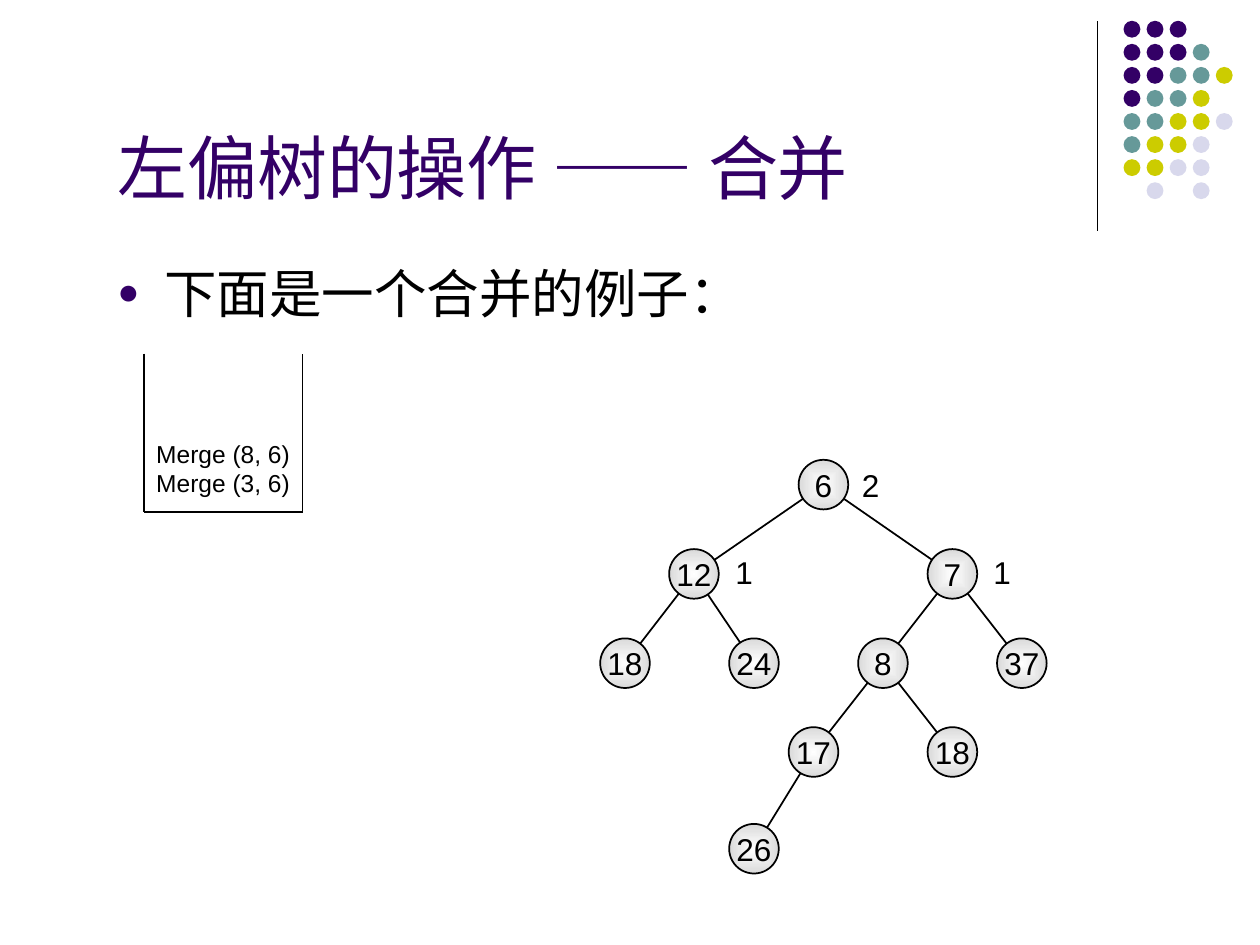
import pptx
import pptx.util
import pptx.dml.color
import pptx.enum.shapes
import pptx.enum.text
import pptx.oxml
import pptx.oxml.ns
import lxml.etree

Cm = pptx.util.Cm
Pt = pptx.util.Pt
RGBColor = pptx.dml.color.RGBColor
ANCHOR = pptx.enum.text.MSO_ANCHOR
ALIGN = pptx.enum.text.PP_ALIGN
OVAL = pptx.enum.shapes.MSO_SHAPE.OVAL
STRAIGHT = pptx.enum.shapes.MSO_CONNECTOR.STRAIGHT

PURPLE = RGBColor(0x33, 0x00, 0x66)
TEAL = RGBColor(0x66, 0x99, 0x99)
OLIVE = RGBColor(0xCC, 0xCC, 0x00)
LAVENDER = RGBColor(0xD8, 0xD8, 0xEC)
BLACK = RGBColor(0x00, 0x00, 0x00)
WHITE = RGBColor(0xFF, 0xFF, 0xFF)
GREY = RGBColor(0xDA, 0xDA, 0xDA)
LATIN = "Arial"
CHINESE = "Noto Sans CJK SC"
NAMESPACE = pptx.oxml.ns.nsdecls("a")

deck = pptx.Presentation()
deck.slide_width = Cm(25.4)
deck.slide_height = Cm(19.05)
page = deck.slides.add_slide(deck.slide_layouts[1])


def add_line(start, end, width):
    line = page.shapes.add_connector(
        STRAIGHT, Cm(start[0]), Cm(start[1]), Cm(end[0]), Cm(end[1]))
    line.line.color.rgb = BLACK
    line.line.width = Pt(width)
    properties = line._element.spPr
    lxml.etree.SubElement(properties, pptx.oxml.ns.qn("a:effectLst"))


def format_span(span, size, color, font=LATIN):
    span.font.size = Pt(size)
    span.font.color.rgb = color
    span.font.name = font
    east_asian = lxml.etree.SubElement(span._r.get_or_add_rPr(), pptx.oxml.ns.qn("a:ea"))
    east_asian.set("typeface", CHINESE)


add_line((22.12, 0.43), (22.12, 4.65), 0.75)
dot_colors = {"P": PURPLE, "T": TEAL, "O": OLIVE, "L": LAVENDER}
dot_rows = ["PPP", "PPPT", "PPTTO", "PTTO", "TTOOL", "TOOL", "OOLL", " L L"]
for row, letters in enumerate(dot_rows):
    for column, letter in enumerate(letters):
        if letter == " ":
            continue
        dot = page.shapes.add_shape(
            OVAL, Cm(22.65 + 0.465 * column), Cm(0.42 + 0.465 * row), Cm(0.34), Cm(0.34))
        dot.shadow.inherit = False
        dot.fill.solid()
        dot.fill.fore_color.rgb = dot_colors[letter]
        dot.line.fill.background()

title = page.shapes.title
title.left, title.top, title.width, title.height = Cm(2.11), Cm(2.13), Cm(21.62), Cm(2.21)
title.text_frame.auto_size = pptx.enum.text.MSO_AUTO_SIZE.NONE
title.text_frame.vertical_anchor = ANCHOR.BOTTOM
para = title.text_frame.paragraphs[0]
para.alignment = ALIGN.LEFT
for words, font in [("左偏树的操作 ", LATIN), ("—— ", CHINESE), ("合并", LATIN)]:
    span = para.add_run()
    span.text = words
    format_span(span, 40, PURPLE, font)

body = page.placeholders[1]
body.left, body.top, body.width, body.height = Cm(2.11), Cm(5.13), Cm(21.41), Cm(12.4)
body.text_frame.auto_size = pptx.enum.text.MSO_AUTO_SIZE.NONE
para = body.text_frame.paragraphs[0]
para.text = "下面是一个合并的例子："
para.space_before = Pt(0)
properties = para._p.get_or_add_pPr()
properties.set("marL", str(Cm(0.95)))
properties.set("indent", str(Cm(-0.95)))
for markup in [
    f'<a:buClr {NAMESPACE}><a:srgbClr val="{PURPLE}"/></a:buClr>',
    f'<a:buSzPct {NAMESPACE} val="70000"/>',
    f'<a:buFont {NAMESPACE} typeface="{LATIN}"/>',
    f'<a:buChar {NAMESPACE} char="●"/>',
]:
    properties.append(pptx.oxml.parse_xml(markup))
format_span(para.runs[0], 30, BLACK)

stack = page.shapes.add_textbox(Cm(2.9), Cm(7.54), Cm(3.2), Cm(2.62))
stack.text_frame.word_wrap = True
stack.text_frame.vertical_anchor = ANCHOR.BOTTOM
stack.text_frame.text = "Merge (8, 6)\nMerge (3, 6)"
for para in stack.text_frame.paragraphs:
    format_span(para.runs[0], 14, BLACK)
stack_corners = [(2.9, 7.13), (2.9, 10.32), (6.1, 10.32), (6.1, 7.13)]
for start, end in zip(stack_corners, stack_corners[1:]):
    add_line(start, end, 0.75)

for words, left, top in [("1", 19.75, 11.02), ("1", 14.55, 11.02), ("2", 17.1, 9.27)]:
    distance = page.shapes.add_textbox(Cm(left), Cm(top), Cm(0.9), Cm(1.02))
    distance.text_frame.word_wrap = True
    distance.text_frame.text = words
    para = distance.text_frame.paragraphs[0]
    para.alignment = ALIGN.CENTER
    format_span(para.runs[0], 18, BLACK)

levels = [9.77, 11.57, 13.37, 15.16, 17.11]
nodes = [
    ("6", 16.6, 0, None),
    ("12", 13.99, 1, 0),
    ("7", 19.2, 1, 0),
    ("18", 12.6, 2, 1),
    ("24", 15.2, 2, 1),
    ("8", 17.8, 2, 2),
    ("37", 20.6, 2, 2),
    ("17", 16.4, 3, 5),
    ("18", 19.2, 3, 5),
    ("26", 15.2, 4, 7),
]
for words, center, level, parent in nodes:
    if parent is not None:
        upper = nodes[parent]
        add_line((upper[1], levels[upper[2]]), (center, levels[level]), 1)

for words, center, level, parent in nodes:
    node = page.shapes.add_shape(
        OVAL, Cm(center - 0.5), Cm(levels[level] - 0.5), Cm(1), Cm(1))
    node.shadow.inherit = False
    node.fill.gradient()
    for stop, color in zip(node.fill.gradient_stops, [WHITE, GREY]):
        stop.color.rgb = color
    gradient = node._element.spPr.find(pptx.oxml.ns.qn("a:gradFill"))
    direction = gradient.find(pptx.oxml.ns.qn("a:lin"))
    gradient.replace(direction, pptx.oxml.parse_xml(
        f'<a:path {NAMESPACE} path="shape">'
        '<a:fillToRect l="50000" t="50000" r="50000" b="50000"/></a:path>'))
    node.line.color.rgb = BLACK
    node.line.width = Pt(1)
    node.text_frame.word_wrap = False
    node.text_frame.vertical_anchor = ANCHOR.MIDDLE
    node.text_frame.text = words
    para = node.text_frame.paragraphs[0]
    para.alignment = ALIGN.CENTER
    format_span(para.runs[0], 18, BLACK)

deck.save("out.pptx")
